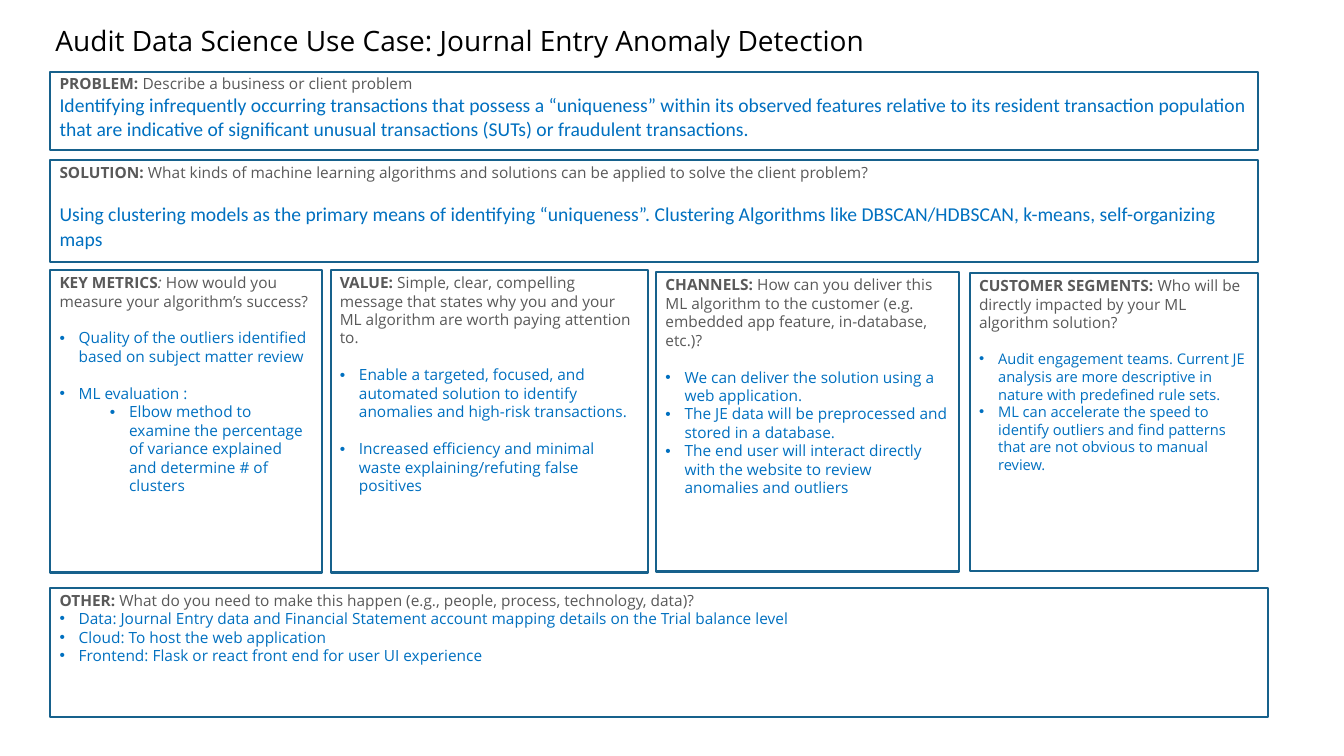
from dataclasses import dataclass

from pptx import Presentation
from pptx import util as u
from pptx.dml.color import RGBColor
from pptx.enum import shapes, text
from pptx.oxml.ns import qn
from lxml import etree

COLORS = {"border": "17618C", "prompt": "595959", "answer": "0070C0", "title": "000000"}
BODY_FONT = "Open Sans"
STATEMENT_FONT = "Calibri"
BLANK_LINE = 13.2  # points
INDENT = 0.19


@dataclass
class Answer:
    wording: str
    size: float = 11
    font: str = BODY_FONT
    bullet: bool = True
    level: int = 0
    gap: float = 0
    line_spacing: float = 1.0


@dataclass
class Panel:
    left: float
    top: float
    width: float
    height: float
    heading: str
    prompt: str
    answers: list[Answer]
    separator: str = ": "
    italic_separator: bool = False


PANELS = [
    Panel(0.5, 0.71, 11.98, 0.78, "PROBLEM", "Describe a business or client problem", [
        Answer("Identifying infrequently occurring transactions that possess a “uniqueness” within its "
               "observed features relative to its resident transaction population that are indicative of "
               "significant unusual transactions (SUTs) or fraudulent transactions.",
               14, STATEMENT_FONT, bullet=False),
    ]),
    Panel(0.5, 1.59, 11.98, 1.01, "SOLUTION",
          "What kinds of machine learning algorithms and solutions can be applied to solve the client problem?", [
        Answer("Using clustering models as the primary means of identifying “uniqueness”. Clustering "
               "Algorithms like DBSCAN/HDBSCAN, k-means, self-organizing maps",
               14, STATEMENT_FONT, bullet=False, gap=BLANK_LINE, line_spacing=1.07),
    ]),
    Panel(0.5, 2.68, 2.69, 3, "KEY METRICS", "How would you measure your algorithm’s success?", [
        Answer("Quality of the outliers identified based on subject matter review", gap=BLANK_LINE),
        Answer("ML evaluation :", gap=BLANK_LINE),
        Answer("Elbow method to examine the percentage of variance explained and determine # of clusters",
               level=1),
    ], italic_separator=True),
    Panel(3.28, 2.68, 3.15, 3, "VALUE",
          "Simple, clear, compelling message that states why you and your ML algorithm are worth "
          "paying attention to.", [
        Answer("Enable a targeted, focused, and automated solution to identify anomalies and high-risk "
               "transactions.", gap=BLANK_LINE),
        Answer("Increased efficiency and minimal waste explaining/refuting false positives", gap=BLANK_LINE),
    ]),
    Panel(6.51, 2.7, 3, 2.97, "CHANNELS",
          "How can you deliver this ML algorithm to the customer (e.g. embedded app feature, "
          "in-database, etc.)?", [
        Answer("We can deliver the solution using a web application.", gap=BLANK_LINE),
        Answer("The JE data will be preprocessed and stored in a database."),
        Answer("The end user will interact directly with the website to review anomalies and outliers"),
    ]),
    Panel(9.62, 2.71, 2.86, 2.96, "CUSTOMER SEGMENTS",
          "Who will be directly impacted by your ML algorithm solution?", [
        Answer("Audit engagement teams. Current JE analysis are more descriptive in nature with "
               "predefined rule sets.", 10.5, gap=BLANK_LINE),
        Answer("ML can accelerate the speed to identify outliers and find patterns that are not obvious "
               "to manual review.", 10.5),
    ]),
    Panel(0.5, 5.83, 12.08, 1.28, "OTHER",
          "What do you need to make this happen (e.g., people, process, technology, data)?", [
        Answer("Data: Journal Entry data and Financial Statement account mapping details on the Trial "
               "balance level"),
        Answer("Cloud: To host the web application"),
        Answer("Frontend: Flask or react front end for user UI experience"),
    ]),
]


def format_run(run, color: str, size: float = 11, font: str = BODY_FONT,
               bold: bool = False, italic: bool = False) -> None:
    run.font.name = font
    run.font.size = u.Pt(size)
    run.font.bold = bold
    run.font.italic = italic
    run.font.color.rgb = RGBColor.from_string(COLORS[color])


def prepare_frame(frame, side: float, edge: float) -> None:
    frame.word_wrap = True
    frame.vertical_anchor = text.MSO_ANCHOR.TOP
    frame.margin_left = frame.margin_right = u.Inches(side)
    frame.margin_top = frame.margin_bottom = u.Inches(edge)


def add_bullet(paragraph, level: int) -> None:
    paragraph.level = level
    properties = paragraph._p.get_or_add_pPr()
    properties.set("marL", str(u.Inches(INDENT + 0.5 * level)))
    properties.set("indent", str(-u.Inches(INDENT)))
    etree.SubElement(properties, qn("a:buFont"), typeface="Arial")
    etree.SubElement(properties, qn("a:buChar"), char="•")


def add_answer(frame, answer: Answer) -> None:
    paragraph = frame.add_paragraph()
    paragraph.text = answer.wording
    paragraph.alignment = text.PP_ALIGN.LEFT
    paragraph.space_before = u.Pt(answer.gap)
    paragraph.line_spacing = answer.line_spacing
    format_run(paragraph.runs[0], "answer", answer.size, answer.font)
    if answer.bullet:
        add_bullet(paragraph, answer.level)


def add_panel(slide, panel: Panel) -> None:
    shape = slide.shapes.add_shape(
        shapes.MSO_SHAPE.RECTANGLE, u.Inches(panel.left), u.Inches(panel.top),
        u.Inches(panel.width), u.Inches(panel.height))
    shape.shadow.inherit = False
    shape.fill.background()
    shape.line.color.rgb = RGBColor.from_string(COLORS["border"])
    shape.line.width = u.Pt(1.5)
    frame = shape.text_frame
    prepare_frame(frame, 0.09, 0.03)

    # Heading and prompt
    paragraph = frame.paragraphs[0]
    paragraph.alignment = text.PP_ALIGN.LEFT
    plain_separator = panel.italic_separator
    for wording, bold, italic in (
        (panel.heading, True, False),
        (panel.separator, not plain_separator, plain_separator),
        (panel.prompt, False, False),
    ):
        run = paragraph.add_run()
        run.text = wording
        format_run(run, "prompt", bold=bold, italic=italic)

    for answer in panel.answers:
        add_answer(frame, answer)


def add_title(slide, wording: str) -> None:
    box = slide.shapes.add_textbox(u.Inches(0.55), u.Inches(0.23), u.Inches(12.23), u.Inches(0.5))
    prepare_frame(box.text_frame, 0, 0)
    box.text_frame.text = wording
    format_run(box.text_frame.paragraphs[0].runs[0], "title", 20)


def main() -> None:
    presentation = Presentation()
    presentation.slide_width = u.Inches(13.33)
    presentation.slide_height = u.Inches(7.5)
    slide = presentation.slides.add_slide(presentation.slide_layouts[6])
    add_title(slide, "Audit Data Science Use Case: Journal Entry Anomaly Detection")
    for panel in PANELS:
        add_panel(slide, panel)
    presentation.save("out.pptx")


if __name__ == "__main__":
    main()
